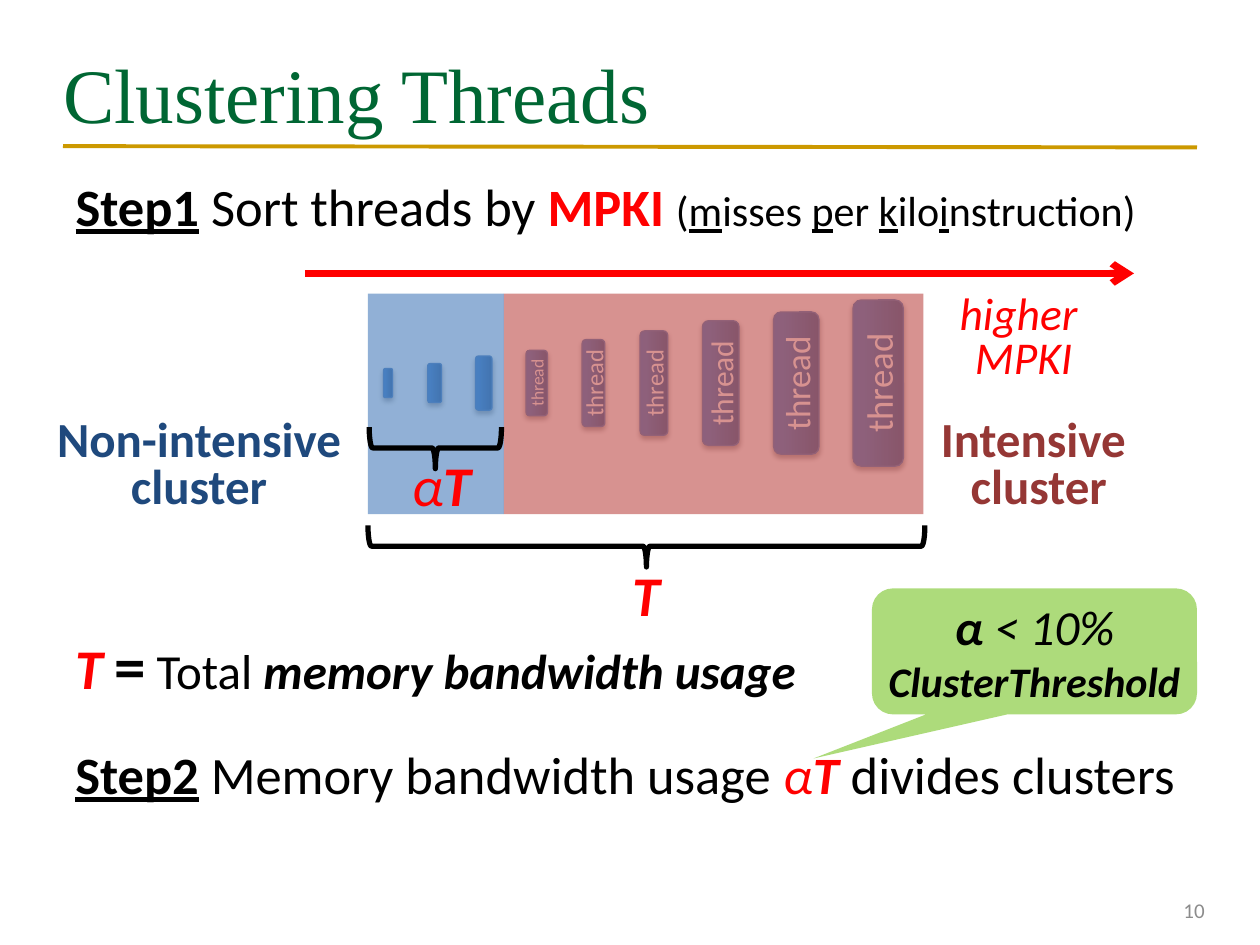
import dataclasses
from typing import Optional

import lxml.etree
import pptx
import pptx.dml.color
import pptx.enum.shapes
import pptx.enum.text
import pptx.oxml
import pptx.oxml.ns
import pptx.util

Inches = pptx.util.Inches
Pt = pptx.util.Pt
Shape = pptx.enum.shapes.MSO_SHAPE
Align = pptx.enum.text.PP_ALIGN
Anchor = pptx.enum.text.MSO_ANCHOR
AutoSize = pptx.enum.text.MSO_AUTO_SIZE
qn = pptx.oxml.ns.qn
NS = 'xmlns:a="http://schemas.openxmlformats.org/drawingml/2006/main"'


@dataclasses.dataclass(frozen=True)
class Theme:
    """Colours, fonts and type sizes of the slide."""
    heading: str = "006633"
    rule: str = "CC9900"
    ink: str = "000000"
    accent: str = "FF0000"
    muted: str = "8C8C8C"
    white: str = "FFFFFF"
    light: str = "4F81BD"
    light_text: str = "1F497D"
    heavy: str = "C0504D"
    heavy_text: str = "953735"
    callout: str = "92D050"
    bar_edge: str = "4B7EBC"
    bar_stops: tuple = ((0, "2F5F99"), (80, "3D7CC7"), (100, "3A7CCB"))
    serif: str = "Times New Roman"
    sans: str = "Calibri"
    title: int = 44
    equals: int = 36
    symbol: int = 32
    step: int = 30
    label: int = 28
    arrow_label: int = 26
    note: int = 24
    number: int = 12


T = Theme()


@dataclasses.dataclass(frozen=True)
class Run:
    """A piece of text; unset values come from its text block."""
    text: str
    size: Optional[int] = None
    color: Optional[str] = None
    bold: bool = False
    italic: bool = False
    underline: bool = False


@dataclasses.dataclass(frozen=True)
class Thread:
    """A thread bar: horizontal centre, length, thickness, label size."""
    center: float
    length: float
    thickness: float
    size: int = 0


@dataclasses.dataclass(frozen=True)
class Cluster:
    """A cluster area and its two-line name."""
    left: float
    width: float
    color: str
    name: tuple
    name_left: float
    name_width: float
    name_color: str


THREADS = (
    Thread(3.08, 0.23, 0.07), Thread(3.45, 0.31, 0.11), Thread(3.84, 0.43, 0.13),
    Thread(4.26, 0.52, 0.17, 10), Thread(4.71, 0.69, 0.18, 14),
    Thread(5.19, 0.83, 0.22, 14), Thread(5.72, 0.99, 0.29, 18),
    Thread(6.32, 1.13, 0.36, 20), Thread(6.97, 1.32, 0.4, 21),
)
THREAD_MIDDLE = 3.04
CLUSTERS = (
    Cluster(2.92, 1.08, T.light, ("Non-intensive", "cluster"), 0.33, 2.5, T.light_text),
    Cluster(4, 3.33, T.heavy, ("Intensive ", "cluster"), 7.33, 1.83, T.heavy_text),
)


def box(left: float, top: float, width: float, height: float) -> tuple:
    """Turn inches into a position and size."""
    return Inches(left), Inches(top), Inches(width), Inches(height)


def rgb(color: str) -> pptx.dml.color.RGBColor:
    """Turn a hex string into a colour."""
    return pptx.dml.color.RGBColor.from_string(color)


def write(frame, paragraphs, *, size=T.label, color=T.ink, font=T.sans, align=Align.LEFT,
          anchor=Anchor.TOP, spacing=None, gap=None, hangs=(), inset=(0, 0.05), grow=False):
    """Fill a text frame with paragraphs of runs."""
    frame.word_wrap = True
    frame.auto_size = AutoSize.SHAPE_TO_FIT_TEXT if grow else AutoSize.NONE
    frame.vertical_anchor = anchor
    frame.margin_left = frame.margin_right = Inches(inset[0])
    frame.margin_top = frame.margin_bottom = Inches(inset[1])
    for index, runs in enumerate(paragraphs):
        paragraph = frame.paragraphs[0] if index == 0 else frame.add_paragraph()
        paragraph.alignment = align
        if spacing:
            paragraph.line_spacing = spacing
        if gap and index:
            paragraph.space_before = Pt(gap)
        if hangs:
            properties = paragraph._p.get_or_add_pPr()
            properties.set("marL", str(Inches(hangs[index])))
            properties.set("indent", str(-Inches(hangs[index])))
            lxml.etree.SubElement(properties, qn("a:buNone"))
        for item in runs:
            run = paragraph.add_run()
            run.text = item.text
            run.font.name = font
            run.font.size = Pt(item.size or size)
            run.font.color.rgb = rgb(item.color or color)
            run.font.bold, run.font.italic = item.bold, item.italic
            run.font.underline = item.underline


def add_text(slide, place: tuple, paragraphs, **style) -> None:
    """Add a text box."""
    write(slide.shapes.add_textbox(*box(*place)).text_frame, paragraphs, **style)


def add_area(slide, kind, place: tuple, color: str, opacity: int):
    """Add a translucent shape without an outline."""
    area = slide.shapes.add_shape(kind, *box(*place))
    area.shadow.inherit = False
    area.fill.solid()
    area.fill.fore_color.rgb = rgb(color)
    tint = area.fill._xPr.find(".//" + qn("a:srgbClr"))
    lxml.etree.SubElement(tint, qn("a:alpha")).set("val", str(opacity * 1000))
    area.line.fill.background()
    return area


def add_line(slide, start: tuple, end: tuple, color: str, width: float, arrow=False) -> None:
    """Add a straight line, with an arrowhead at its end if wanted."""
    line = slide.shapes.add_connector(pptx.enum.shapes.MSO_CONNECTOR.STRAIGHT,
                                      *map(Inches, start + end))
    line.line.color.rgb = rgb(color)
    line.line.width = Pt(width)
    if arrow:
        head = lxml.etree.SubElement(line.line._get_or_add_ln(), qn("a:tailEnd"))
        head.set("type", "arrow")
    lxml.etree.SubElement(line._element.spPr, qn("a:effectLst"))


def add_brace(slide, left: float, top: float, width: float, depth: float = 0.33) -> None:
    """Add a brace that opens upwards over the given width."""
    brace = slide.shapes.add_shape(Shape.RIGHT_BRACE, *box(
        left + (width - depth) / 2, top + (depth - width) / 2, depth, width))
    brace.rotation = 90
    brace.shadow.inherit = False
    brace.fill.background()
    brace.line.color.rgb = rgb(T.ink)
    brace.line.width = Pt(3)


def add_thread(group, thread: Thread) -> None:
    """Add an upright thread bar with a gradient and a soft shadow."""
    bar = group.shapes.add_shape(Shape.ROUNDED_RECTANGLE, *box(
        thread.center - thread.length / 2, THREAD_MIDDLE - thread.thickness / 2,
        thread.length, thread.thickness))
    bar.rotation = 270
    bar.line.color.rgb = rgb(T.bar_edge)
    bar.line.width = Pt(0.75)
    stops = "".join(f'<a:gs pos="{at * 1000}"><a:srgbClr val="{color}"/></a:gs>'
                    for at, color in T.bar_stops)
    properties = bar._element.spPr
    properties.find(qn("a:ln")).addprevious(pptx.oxml.parse_xml(
        f'<a:gradFill {NS} rotWithShape="1"><a:gsLst>{stops}</a:gsLst>'
        '<a:lin ang="16200000" scaled="0"/></a:gradFill>'))
    properties.append(pptx.oxml.parse_xml(
        f'<a:effectLst {NS}><a:outerShdw blurRad="{Pt(3.1)}" dist="{Pt(1.8)}" dir="5400000" '
        f'rotWithShape="0"><a:srgbClr val="{T.ink}"><a:alpha val="35000"/></a:srgbClr>'
        '</a:outerShdw></a:effectLst>'))
    if thread.size:
        write(bar.text_frame, [[Run("thread")]], size=thread.size, color=T.white,
              align=Align.CENTER, anchor=Anchor.MIDDLE)


def build() -> None:
    """Build and save the slide."""
    deck = pptx.Presentation()
    deck.slide_width, deck.slide_height = Inches(10), Inches(7.5)
    slide = deck.slides.add_slide(deck.slide_layouts[1])
    title, step_one = slide.placeholders
    title.left, title.top, title.width, title.height = box(0.5, 0.3, 9, 0.87)
    write(title.text_frame, [[Run("Clustering Threads")]], size=T.title, color=T.heading,
          font=T.serif, anchor=Anchor.MIDDLE)
    add_line(slide, (0.5, 1.16), (9.5, 1.17), T.rule, 2.25)

    step_one.left, step_one.top, step_one.width, step_one.height = box(0.5, 1.33, 9, 0.67)
    acronym = [Run(part, T.note, underline=part in ("m", "p", "k", "i"))
               for part in ("(", "m", "isses ", "p", "er ", "k", "ilo", "i", "nstruction)")]
    write(step_one.text_frame, [[
        Run("Step1", bold=True, underline=True), Run(" Sort threads by "),
        Run("MPKI ", color=T.accent, bold=True), *acronym]],
        size=T.step, hangs=(0.38,), inset=(0.1, 0.05))
    add_text(slide, (7.33, 7.02, 2.33, 0.4), [[Run("10")]], size=T.number, color=T.muted,
             align=Align.RIGHT, anchor=Anchor.MIDDLE, inset=(0.1, 0.05))

    threads = slide.shapes.add_group_shape()
    for thread in THREADS:
        add_thread(threads, thread)

    tight = dict(align=Align.CENTER, spacing=0.8, grow=True)
    add_line(slide, (2.42, 2.17), (9, 2.17), T.accent, 4, arrow=True)
    add_text(slide, (7.5, 2.29, 1.25, 0.81),
             [[Run("higher ", italic=True)], [Run("MPKI", italic=True)]],
             size=T.arrow_label, color=T.accent, anchor=Anchor.MIDDLE, **tight)

    alpha = Run("α", color=T.accent, italic=True)
    total = Run("T", color=T.accent, bold=True, italic=True)
    callout = add_area(slide, Shape.ROUNDED_RECTANGULAR_CALLOUT, (6.92, 4.67, 2.58, 1),
                       T.callout, 75)
    callout.adjustments[0], callout.adjustments[1] = -0.68, 0.85
    write(callout.text_frame, [[
        Run("α", bold=True, italic=True), Run(" < 10% ", italic=True),
        Run("ClusterThreshold", T.note, bold=True, italic=True)]],
        align=Align.CENTER, anchor=Anchor.MIDDLE)

    for cluster in CLUSTERS:
        add_area(slide, Shape.RECTANGLE, (cluster.left, 2.33, cluster.width, 1.75),
                 cluster.color, 62)
        add_text(slide, (cluster.name_left, 3.33, cluster.name_width, 0.75),
                 [[Run(line, bold=True)] for line in cluster.name],
                 color=cluster.name_color, inset=(0, 0), **tight)
    add_brace(slide, 2.92, 4.17, 4.42)
    add_text(slide, (4.88, 4.5, 0.5, 0.54), [[total]], size=T.symbol, **tight)
    add_brace(slide, 2.93, 3.39, 1.05)
    add_text(slide, (3.17, 3.63, 0.67, 0.54), [[alpha, total]], size=T.symbol, **tight)

    add_text(slide, (0.5, 4.92, 9, 1.83), [
        [dataclasses.replace(total, size=T.symbol), Run(" ", T.label),
         Run("=", T.equals, bold=True), Run(" Total ", T.label),
         Run("memory bandwidth usage", T.label, bold=True, italic=True)],
        [Run("Step2", bold=True, underline=True), Run(" Memory bandwidth usage "),
         alpha, dataclasses.replace(total, text="T "), Run("divides clusters")],
    ], size=T.step, gap=23, hangs=(0.38, 1.07), inset=(0.1, 0.05))
    deck.save("out.pptx")


build()
